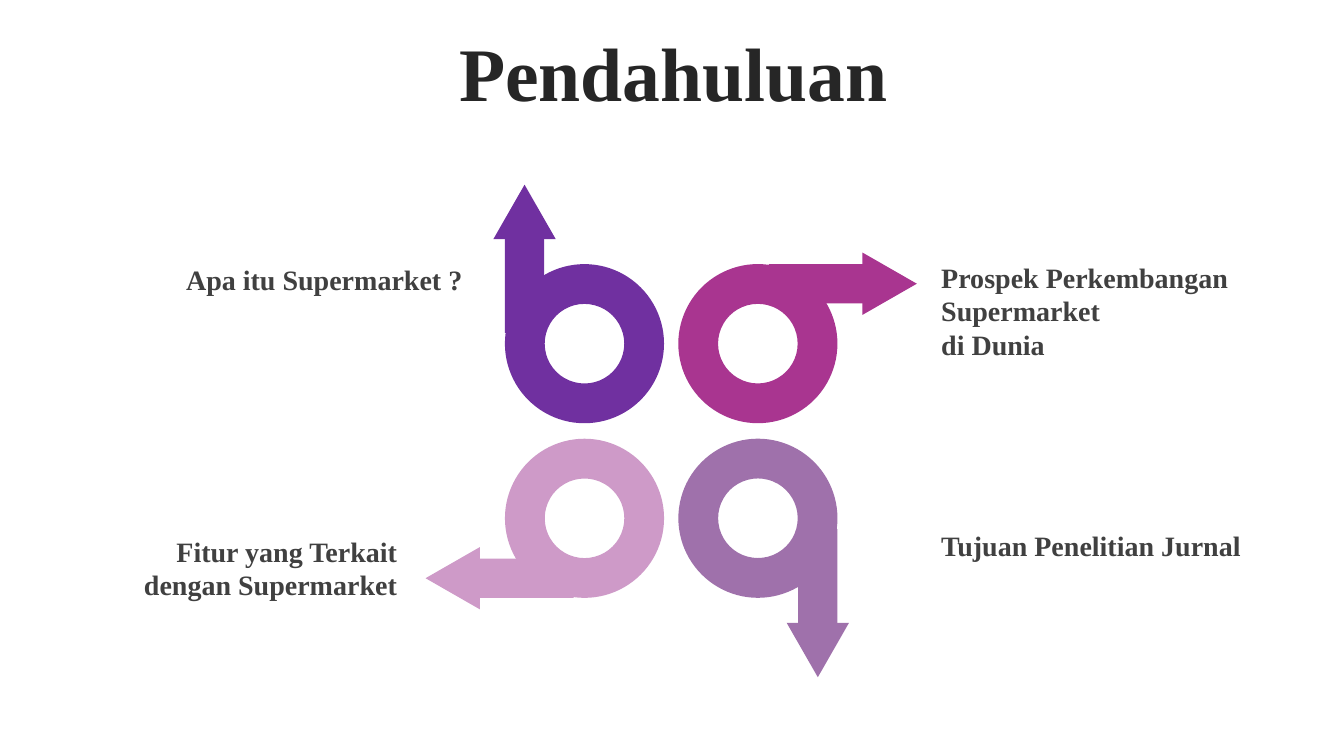
from math import cos, radians, sin

from pptx import Presentation
from pptx.dml.color import RGBColor as RGB
from pptx.enum.shapes import MSO_SHAPE as Shape
from pptx.enum.text import MSO_ANCHOR as Anchor, MSO_AUTO_SIZE as Fit, PP_ALIGN as Align
from pptx.util import Cm, Pt

FONT = "Times New Roman"
HEX = {
    "title": "262626",
    "text": "404040",
    "violet": "7030A0",
    "magenta": "A93590",
    "pink": "CE9AC8",
    "mauve": "9F71AB",
}
LEFT, RIGHT = 14.73, 19.1
TOP, LOW = 8.66, 13.06
RING = 4.01
ARROWS = [
    (LEFT, LOW, 180, "pink"),
    (RIGHT, TOP, 0, "magenta"),
    (LEFT, TOP, 270, "violet"),
    (RIGHT, LOW, 90, "mauve"),
]
LABELS = [
    ("Tujuan Penelitian Jurnal", 23.47, 13.2, 9.25, 1.11, Align.LEFT),
    ("Prospek Perkembangan Supermarket\ndi Dunia", 23.47, 6.43, 9.25, 2.82, Align.LEFT),
    ("Fitur yang Terkait dengan Supermarket", 1.98, 13.34, 8.28, 1.96, Align.RIGHT),
    ("Apa itu Supermarket ?", 2.74, 6.5, 9.17, 1.11, Align.RIGHT),
]


def style(frame, size, color, align):
    """Give every paragraph of a frame one bold look."""
    for para in frame.paragraphs:
        para.alignment = align
        for run in para.runs:
            font = run.font
            font.name, font.size, font.bold = FONT, Pt(size), True
            font.color.rgb = RGB.from_string(HEX[color])


def place(shape, left, top, width, height):
    """Set the box of a shape in centimetres."""
    shape.left, shape.top = Cm(left), Cm(top)
    shape.width, shape.height = Cm(width), Cm(height)


def add_title(slide, text):
    """Fill and format the title placeholder."""
    title = slide.shapes.title
    place(title, 0.89, 0.94, 32.16, 2.01)
    frame = title.text_frame
    frame.text = text
    frame.auto_size = Fit.NONE
    frame.vertical_anchor = Anchor.MIDDLE
    para = frame.paragraphs[0]
    para.line_spacing, para.space_before = 0.9, Pt(10)
    style(frame, 54, "title", Align.CENTER)


def add_part(group, kind, x, y, width, height, turn, color):
    """Add one plain filled shape centred on a point."""
    part = group.shapes.add_shape(
        kind, Cm(x - width / 2), Cm(y - height / 2), Cm(width), Cm(height)
    )
    part.rotation = turn % 360
    part.shadow.inherit = False
    part.fill.solid()
    part.fill.fore_color.rgb = RGB.from_string(HEX[color])
    part.line.fill.background()


def add_arrow(slide, x, y, turn, color):
    """Add a ring whose arrow leaves along its edge, turned about its centre."""
    group = slide.shapes.add_group_shape()
    add_part(group, Shape.DONUT, x, y, RING, RING, turn, color)
    c, s = cos(radians(turn)), sin(radians(turn))
    side = -1.51
    for kind, out, width, height, lean in (
        (Shape.RECTANGLE, 1.48, 2.41, 0.99, 0),
        (Shape.ISOSCELES_TRIANGLE, 3.32, 1.57, 1.37, 90),
    ):
        px, py = x + out * c - side * s, y + out * s + side * c
        add_part(group, kind, px, py, width, height, turn + lean, color)


def add_label(slide, text, left, top, width, height, align):
    """Add a wrapped label beside an arrow."""
    box = slide.shapes.add_textbox(Cm(left), Cm(top), Cm(width), Cm(height))
    frame = box.text_frame
    frame.word_wrap = True
    frame.auto_size = Fit.SHAPE_TO_FIT_TEXT
    frame.text = text
    style(frame, 20, "text", align)


def main():
    """Build the slide and save it."""
    deck = Presentation()
    deck.slide_width, deck.slide_height = Cm(33.87), Cm(19.05)
    slide = deck.slides.add_slide(deck.slide_layouts[5])
    add_title(slide, "Pendahuluan")
    for arrow in ARROWS:
        add_arrow(slide, *arrow)
    for label in LABELS:
        add_label(slide, *label)
    deck.save("out.pptx")


if __name__ == "__main__":
    main()
